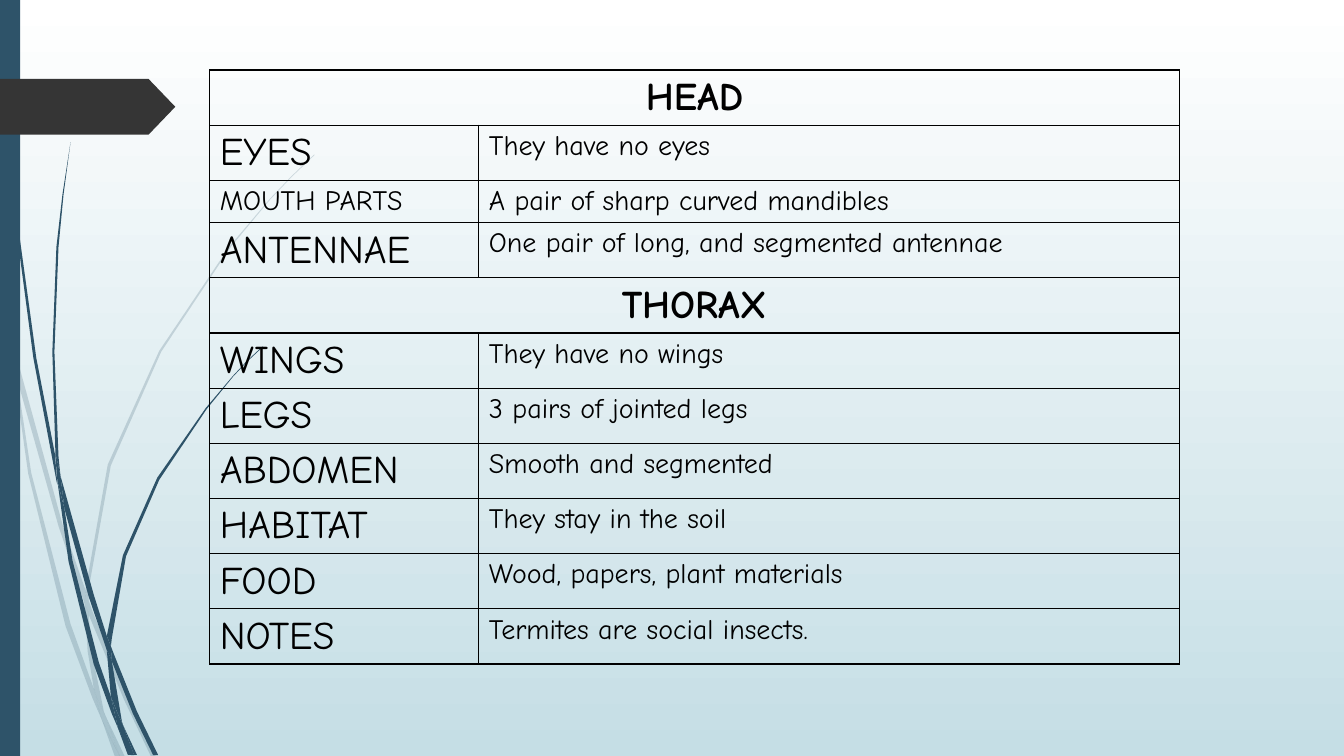
from dataclasses import dataclass

from lxml import etree
from pptx import Presentation
from pptx.dml.color import RGBColor
from pptx.enum import shapes, text
from pptx.oxml import ns
from pptx.util import Pt

COLORS = {
    "sky": "FFFFFF",
    "ground": "C5DEE5",
    "stem": "2E5369",
    "tag": "353535",
    "ink": "000000",
}
FONT = "Comic Neue"
SLIDE_WIDTH, SLIDE_HEIGHT = 960, 540

Outline = list[tuple[float, float]]


@dataclass
class Grass:
    """A tuft of blades, each an outline of corner points."""
    opacity: int
    blades: list[Outline]


@dataclass
class Row:
    label: str
    detail: str = ""
    label_size: int = 28
    height: float = 39.4

    @property
    def is_heading(self) -> bool:
        return not self.detail


PALE_GRASS = Grass(20, [
    [(7.9, 252), (6.5, 231.8), (0, 203), (0, 215.3), (7.2, 247.7)],
    [(41.8, 375.8), (60.5, 431.3), (61.2, 421.9), (44.6, 374.4), (10.1, 248.4),
     (12.2, 270.7)],
    [(66.2, 437), (63.4, 429.1), (63.4, 439.2), (88.6, 499.7), (108, 540.7),
     (111.6, 540.7), (91.4, 498.2)],
    [(85.7, 540.7), (89.3, 540.7), (75.6, 511.9)],
    [(67, 491.8), (50.4, 445.7), (22.3, 337.7), (12.2, 270.7), (7.9, 252),
     (20.2, 338.4), (46.8, 447.1), (66.2, 499), (72.7, 514.1), (71.3, 509)],
    [(60.5, 431.3), (62.6, 465.1), (67, 491.8), (69.1, 498.2), (75.6, 511.9),
     (74.2, 508.3), (65.5, 465.1), (63.4, 439.2), (63.4, 437.8)],
    [(63.4, 420.5), (79.2, 332.6), (115.2, 251.3), (164.9, 176.4), (193, 142.6),
     (208.8, 126), (224.6, 110.9), (224.6, 110.2), (208.1, 126), (193, 141.8),
     (164.2, 175.7), (113.8, 250.6), (77, 331.9), (61.2, 420.5), (61.2, 421.9),
     (63.4, 429.1)],
    [(72.7, 514.1), (82.1, 540.7), (85.7, 540.7)],
    [(63.4, 437.8), (63.4, 439.2), (63.4, 429.1), (61.2, 421.9), (60.5, 431.3)],
    [(69.1, 498.2), (67, 491.8), (71.3, 509), (72.7, 514.1), (85.7, 540.7),
     (75.6, 511.9)],
])
DARK_GRASS = Grass(100, [
    [(5, 79.2), (12.2, 167.8), (23.8, 255.6), (40.3, 343.4), (41, 346.3),
     (39.6, 329), (39.6, 326.2), (25.9, 255.6), (13.7, 167), (5.8, 78.5),
     (3.6, 34.6), (2.9, 0), (2.2, 0), (2.9, 34.6)],
    [(63.4, 426.2), (76.3, 464.4), (76.3, 455.8), (76.3, 454.3), (67, 424.8),
     (43.2, 339.8), (46.1, 363.6)],
    [(81.4, 467.3), (79.2, 461.5), (79.9, 472.3), (95, 509.8), (109.4, 539.3),
     (113, 539.3), (97.9, 508.3)],
    [(79.2, 497.5), (70.6, 473), (51.8, 400.3), (46.1, 363.6), (41, 343.4),
     (49, 401), (67, 474.5), (79.9, 509.8), (84.2, 519.8), (83.5, 516.2)],
    [(43.2, 339.8), (41.8, 326.2), (38.9, 251.3), (41.8, 176.4), (45.4, 139),
     (50.4, 101.5), (44.6, 139), (40.3, 176.4), (37.4, 251.3), (39.6, 323.3)],
    [(95.8, 539.3), (97.9, 539.3), (87.8, 517.7)],
    [(41, 343.4), (46.1, 363.6), (43.2, 339.8), (39.6, 323.3), (39.6, 326.2)],
    [(79.9, 455.8), (90, 397.4), (113.8, 342.7), (147.6, 292.3), (166.3, 269.3),
     (176.4, 258.5), (187.9, 247.7), (187.2, 247.7), (176.4, 257.8),
     (166.3, 268.6), (146.9, 291.6), (112.3, 341.3), (87.8, 396.7),
     (76.3, 454.3), (79.2, 461.5)],
    [(84.2, 519.8), (91.4, 539.3), (94.3, 539.3)],
    [(76.3, 464.4), (79.2, 497.5), (83.5, 508.3), (87.8, 517.7), (87.1, 515.5),
     (79.9, 472.3), (78.5, 468.7)],
    [(76.3, 464.4), (78.5, 468.7), (79.9, 472.3), (79.2, 461.5), (76.3, 454.3)],
    [(83.5, 508.3), (79.2, 497.5), (83.5, 516.2), (84.2, 519.8), (93.6, 539.3),
     (95.8, 539.3), (87.8, 517.7)],
])

ROWS = [
    Row("HEAD"),
    Row("EYES", "They have no eyes"),
    Row("MOUTH PARTS", "A pair of sharp curved mandibles", 20, 30),
    Row("ANTENNAE", "One pair of long, and segmented antennae"),
    Row("THORAX"),
    Row("WINGS", "They have no wings"),
    Row("LEGS", "3 pairs of jointed legs"),
    Row("ABDOMEN", "Smooth and segmented"),
    Row("HABITAT", "They stay in the soil"),
    Row("FOOD", "Wood, papers, plant materials"),
    Row("NOTES", "Termites are social insects."),
]
COLUMN_WIDTHS = (192.2, 500.4)


def color(name: str) -> RGBColor:
    return RGBColor.from_string(COLORS[name])


def paint(shape, name: str) -> None:
    shape.shadow.inherit = False
    shape.fill.solid()
    shape.fill.fore_color.rgb = color(name)
    shape.line.fill.background()


def draw_grass(slide, grass: Grass) -> None:
    for blade in grass.blades:
        start, *rest = [(Pt(x), Pt(y)) for x, y in blade]
        builder = slide.shapes.build_freeform(*start)
        builder.add_line_segments(rest, close=True)
        shape = builder.convert_to_shape()
        paint(shape, "stem")
        if grass.opacity < 100:
            fill_color = shape._element.spPr.find(".//" + ns.qn("a:srgbClr"))
            etree.SubElement(fill_color, ns.qn("a:alpha"),
                             val=str(grass.opacity * 1000))


def draw_block(slide, kind, left: float, top: float, width: float, height: float,
               name: str):
    shape = slide.shapes.add_shape(kind, Pt(left), Pt(top), Pt(width), Pt(height))
    paint(shape, name)
    return shape


def outline_cell(cell) -> None:
    properties = cell._tc.get_or_add_tcPr()
    for index, side in enumerate(("lnL", "lnR", "lnT", "lnB")):
        line = etree.Element(ns.qn(f"a:{side}"), w=str(Pt(1)))
        fill = etree.SubElement(line, ns.qn("a:solidFill"))
        etree.SubElement(fill, ns.qn("a:srgbClr"), val=COLORS["ink"])
        properties.insert(index, line)


def write_cell(cell, words: str, size: int, heading: bool) -> None:
    paragraph = cell.text_frame.paragraphs[0]
    paragraph.alignment = text.PP_ALIGN.CENTER if heading else text.PP_ALIGN.LEFT
    run = paragraph.add_run()
    run.text = words
    run.font.color.rgb = color("ink")
    for attribute, value in {"name": FONT, "size": Pt(size), "bold": heading}.items():
        setattr(run.font, attribute, value)


def draw_table(slide) -> None:
    frame = slide.shapes.add_table(
        len(ROWS), len(COLUMN_WIDTHS), Pt(149.8), Pt(50),
        Pt(sum(COLUMN_WIDTHS)), Pt(sum(row.height for row in ROWS)))
    table = frame.table
    table.first_row = table.horz_banding = False
    for column, width in zip(table.columns, COLUMN_WIDTHS):
        column.width = Pt(width)
    for index, row in enumerate(ROWS):
        table.rows[index].height = Pt(row.height)
        label, detail = table.rows[index].cells
        for cell in (label, detail):
            cell.fill.background()
            outline_cell(cell)
        write_cell(label, row.label, row.label_size, row.is_heading)
        if row.is_heading:
            label.merge(detail)
        else:
            write_cell(detail, row.detail, 20, False)


def draw_background(slide) -> None:
    fill = slide.background.fill
    fill.gradient()
    fill.gradient_angle = 270
    for stop, position, name in zip(fill.gradient_stops, (0, 1), ("sky", "ground")):
        stop.position = position
        stop.color.rgb = color(name)


def main() -> None:
    presentation = Presentation()
    presentation.slide_width = Pt(SLIDE_WIDTH)
    presentation.slide_height = Pt(SLIDE_HEIGHT)
    slide = presentation.slides.add_slide(presentation.slide_layouts[6])
    draw_background(slide)
    for grass in (PALE_GRASS, DARK_GRASS):
        draw_grass(slide, grass)
    draw_block(slide, shapes.MSO_SHAPE.RECTANGLE, 0, 0, 14.4, SLIDE_HEIGHT, "stem")
    tag = draw_block(slide, shapes.MSO_SHAPE.PENTAGON, 0, 56.4, 125.2, 39.8, "tag")
    tag.adjustments[0] = 0.48
    draw_table(slide)
    presentation.save("out.pptx")


if __name__ == "__main__":
    main()
